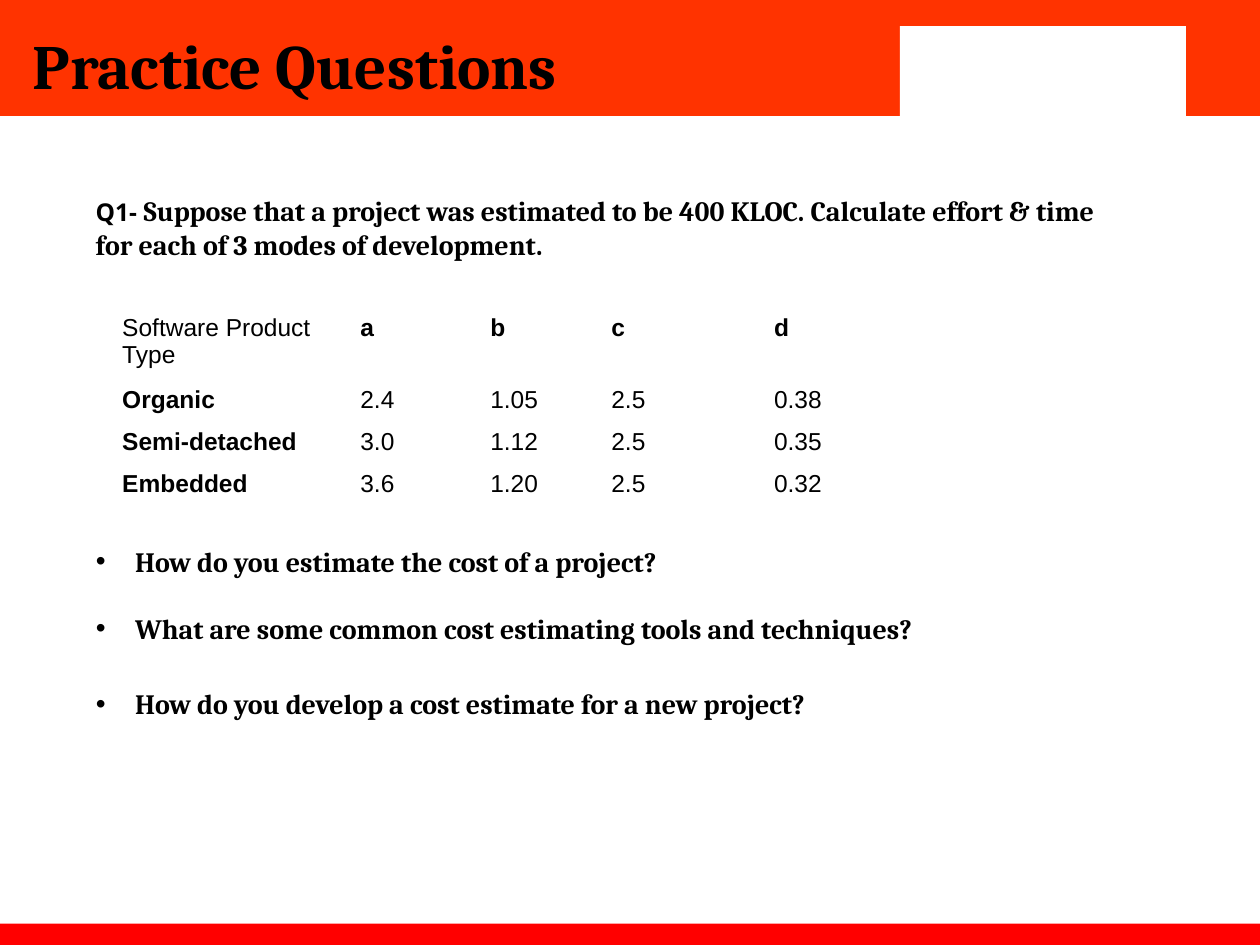
from dataclasses import dataclass

from pptx import Presentation, util as u
from pptx.dml.color import RGBColor
from pptx.enum import shapes, text


@dataclass(frozen=True)
class Theme:
    ink: str = "000000"
    paper: str = "FFFFFF"
    header: str = "FF3300"
    footer: str = "FF0000"
    serif: str = "Cambria"
    sans: str = "Arial"
    label: str = "Noto Sans"
    title_size: int = 36
    body_size: int = 16
    small_size: int = 14


@dataclass(frozen=True)
class Area:
    """A rectangle on the page, in centimetres."""
    left: float
    top: float
    width: float
    height: float

    def lengths(self) -> list[u.Cm]:
        return [u.Cm(n) for n in (self.left, self.top, self.width, self.height)]


@dataclass(frozen=True)
class Band:
    area: Area
    color: str


THEME = Theme()
PAGE_WIDTH, PAGE_HEIGHT = 25.4, 19.05
HEADER_HEIGHT = 2.34

BANDS = [
    Band(Area(0, 0, PAGE_WIDTH, HEADER_HEIGHT), THEME.header),
    Band(Area(0, 18.62, PAGE_WIDTH, 0.43), THEME.footer),
    Band(Area(17.07, 0, 8.33, HEADER_HEIGHT), THEME.header),
    Band(Area(18.14, 0.53, 5.77, 1.91), THEME.paper),
]
TITLE_AREA = Area(0.41, 0.41, 18.19, 1.8)
QUESTION_AREA = Area(1.68, 3.78, 21.08, 1.63)
TABLE_AREA = Area(2.21, 6.2, 16.42, 4.0)
LIST_AREA = Area(1.68, 10.85, 20.04, 3.8)

COLUMN_WIDTHS = [4.8, 2.62, 2.44, 3.28, 3.28]
ROW_HEIGHTS = [1.45, 0.85, 0.85, 0.85]
COEFFICIENTS = [
    ["Software Product Type", "a", "b", "c", "d"],
    ["Organic", "2.4", "1.05", "2.5", "0.38"],
    ["Semi-detached", "3.0", "1.12", "2.5", "0.35"],
    ["Embedded", "3.6", "1.20", "2.5", "0.32"],
]
# Each list entry with the space before it, in points
TOPICS = [
    ("How do you estimate the cost of a project?", 0),
    ("What are some common cost estimating tools and techniques?", 19),
    ("How do you develop a cost estimate for a new project?", 24),
]


def set_font(font, name: str, size: int, bold: bool = True) -> None:
    font.name, font.size, font.bold = name, u.Pt(size), bold
    font.color.rgb = RGBColor.from_string(THEME.ink)


def draw_band(page, band: Band) -> None:
    box = page.shapes.add_shape(shapes.MSO_SHAPE.RECTANGLE, *band.area.lengths())
    box.shadow.inherit = False
    box.fill.solid()
    box.fill.fore_color.rgb = RGBColor.from_string(band.color)
    box.line.fill.background()


def place(box, area: Area) -> None:
    """Move a placeholder to its area and bring it in front of the bands."""
    box.left, box.top, box.width, box.height = area.lengths()
    box.text_frame.auto_size = text.MSO_AUTO_SIZE.NONE
    box.text_frame.vertical_anchor = text.MSO_ANCHOR.TOP
    box.element.getparent().append(box.element)


def draw_title(page) -> None:
    box = page.shapes.title
    place(box, TITLE_AREA)
    box.text_frame.text = "Practice Questions"
    para = box.text_frame.paragraphs[0]
    para.alignment = text.PP_ALIGN.LEFT
    set_font(para.font, THEME.serif, THEME.title_size)


def draw_question(page) -> None:
    frame = page.shapes.add_textbox(*QUESTION_AREA.lengths()).text_frame
    frame.word_wrap = True
    para = frame.paragraphs[0]
    for words, name, size in [
        ("Q1- ", THEME.label, THEME.small_size),
        ("Suppose that a project was estimated to be 400 KLOC. Calculate effort "
         "& time for each of 3 modes of development.", THEME.serif, THEME.body_size),
    ]:
        span = para.add_run()
        span.text = words
        set_font(span.font, name, size)


def draw_table(page) -> None:
    table = page.shapes.add_table(
        len(ROW_HEIGHTS), len(COLUMN_WIDTHS), *TABLE_AREA.lengths()).table
    table.first_row = table.horz_banding = False
    for column, width in zip(table.columns, COLUMN_WIDTHS):
        column.width = u.Cm(width)
    for row, height in zip(table.rows, ROW_HEIGHTS):
        row.height = u.Cm(height)
    for r, values in enumerate(COEFFICIENTS):
        for c, value in enumerate(values):
            cell = table.cell(r, c)
            cell.fill.background()
            cell.text = value
            # Headings are bold, except the corner cell
            set_font(cell.text_frame.paragraphs[0].font, THEME.sans,
                     THEME.small_size, bold=(r == 0) != (c == 0))


def draw_topics(page) -> None:
    box = page.placeholders[1]
    place(box, LIST_AREA)
    frame = box.text_frame
    frame.text = "\n".join(words for words, _ in TOPICS)
    for para, (_, gap) in zip(frame.paragraphs, TOPICS):
        para.space_before = u.Pt(gap)
        set_font(para.font, THEME.serif, THEME.body_size)
        # Hanging indent for the bullet
        properties = para._p.get_or_add_pPr()
        properties.set("marL", str(u.Cm(0.79)))
        properties.set("indent", str(-u.Cm(0.79)))


def main() -> None:
    deck = Presentation()
    deck.slide_width, deck.slide_height = u.Cm(PAGE_WIDTH), u.Cm(PAGE_HEIGHT)
    page = deck.slides.add_slide(deck.slide_layouts[1])

    # Header and footer bands
    for band in BANDS:
        draw_band(page, band)

    # Content
    draw_title(page)
    draw_table(page)
    draw_question(page)
    draw_topics(page)
    deck.save("out.pptx")


if __name__ == "__main__":
    main()
